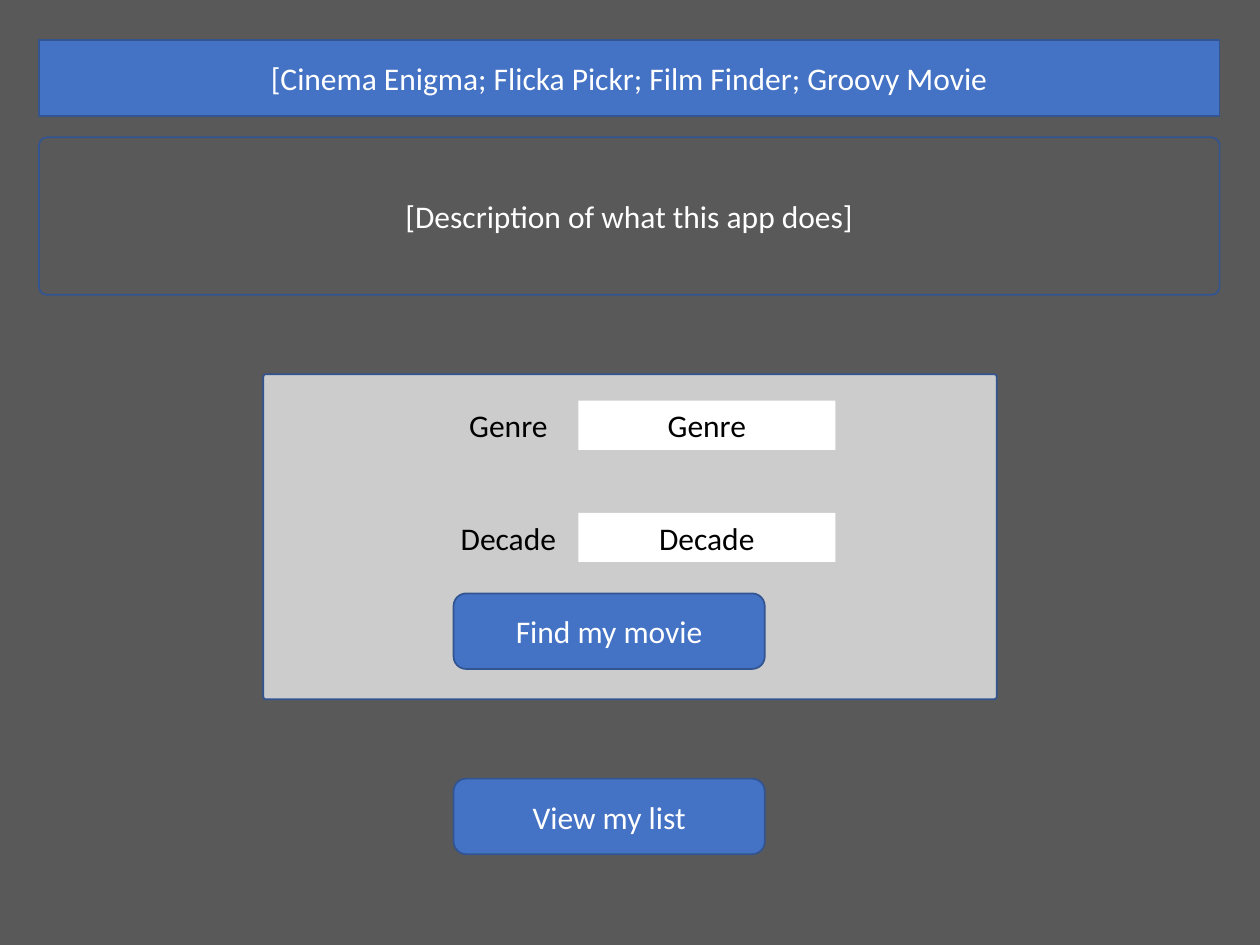
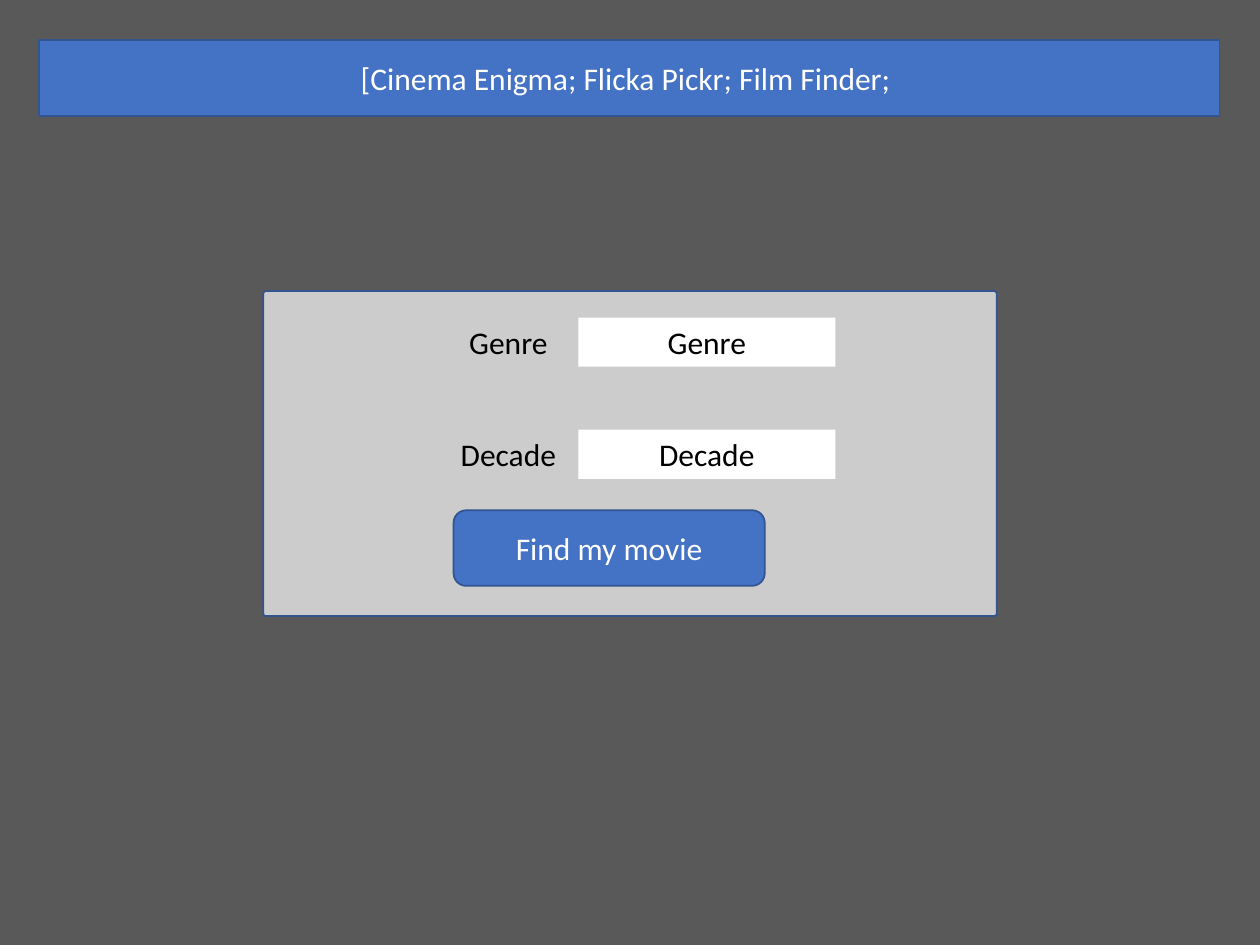
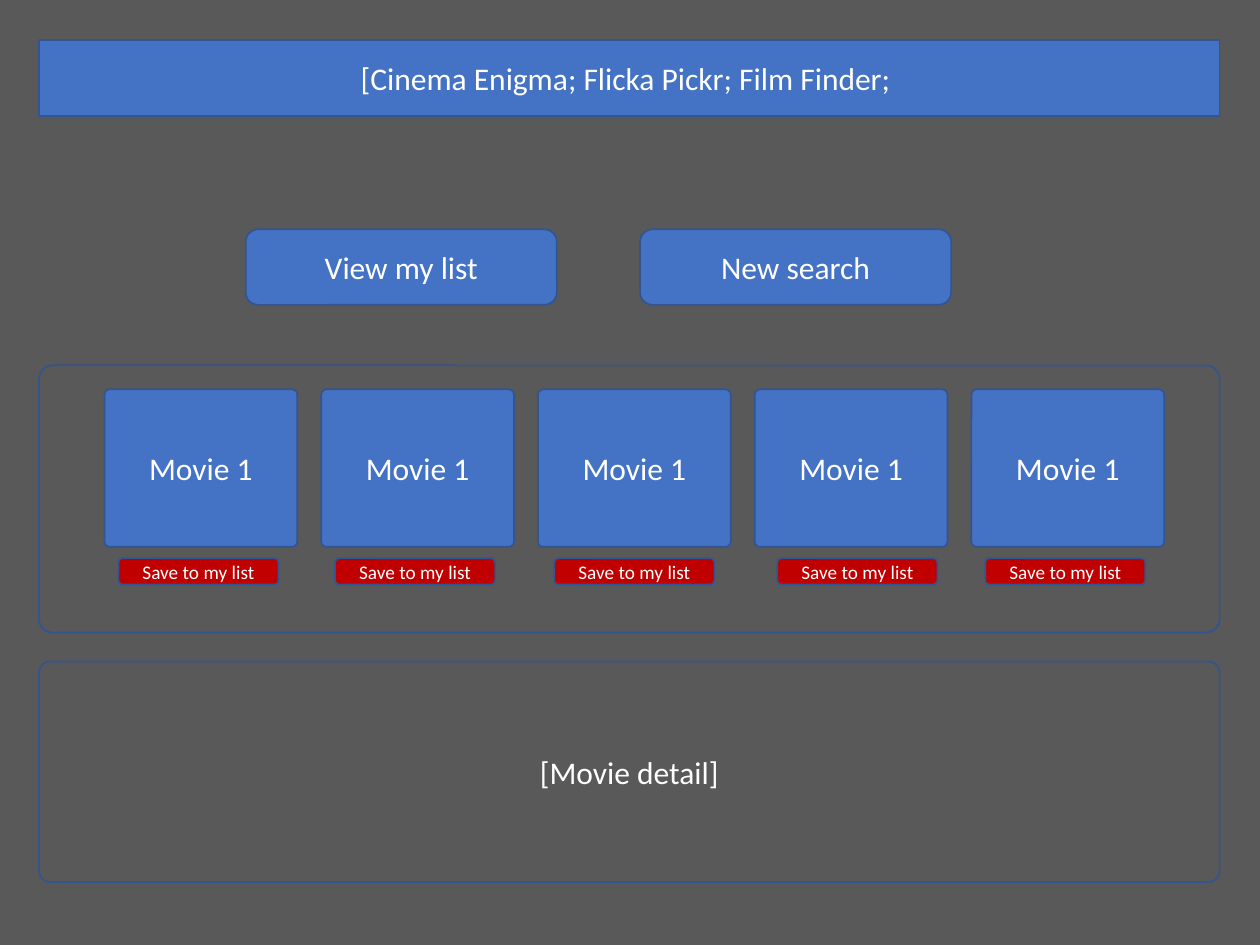
from dataclasses import dataclass

from lxml.etree import SubElement
from pptx import Presentation
from pptx.dml.color import RGBColor
from pptx.enum.shapes import MSO_SHAPE
from pptx.enum.text import MSO_ANCHOR, PP_ALIGN
from pptx.oxml.ns import qn
from pptx.util import Inches, Pt


@dataclass(frozen=True)
class Theme:
    font: str = "Calibri"
    body_size: int = 18
    small_size: int = 11
    line_width: int = 1
    background: str = "595959"
    accent: str = "4472C4"
    outline: str = "325491"
    panel: str = "D9D9D9"
    panel_opacity: int = 90
    save: str = "C00000"
    light: str = "FFFFFF"
    dark: str = "000000"


@dataclass(frozen=True)
class Box:
    left: float
    top: float
    width: float
    height: float

    def inner(self, dx, dy, width, height):
        """Return a box offset from this one's top left corner."""
        return Box(self.left + dx, self.top + dy, width, height)

    def lengths(self):
        return [Inches(v) for v in (self.left, self.top, self.width, self.height)]


THEME = Theme()
TITLE_ONLY = 5
HEADER = Box(0.31, 0.32, 9.37, 0.6)
BUTTON_SIZE = (2.47, 0.6)
FRAME_CORNER = 0.051
APP_NAMES = "[Cinema Enigma; Flicka Pickr; Film Finder; "


def apply(target, formats):
    for attribute, value in formats.items():
        setattr(target, attribute, value)


def write(shape, text, color=THEME.light, size=THEME.body_size):
    frame = shape.text_frame
    frame.text = text
    apply(frame, {"word_wrap": True, "vertical_anchor": MSO_ANCHOR.MIDDLE})
    paragraph = frame.paragraphs[0]
    paragraph.alignment = PP_ALIGN.CENTER
    font = paragraph.runs[0].font
    apply(font, {"name": THEME.font, "size": Pt(size)})
    font.color.rgb = RGBColor.from_string(color)


def paint(shape, fill=None, line=THEME.outline):
    if fill:
        shape.fill.solid()
        shape.fill.fore_color.rgb = RGBColor.from_string(fill)
    else:
        shape.fill.background()
    if line:
        shape.line.color.rgb = RGBColor.from_string(line)
        shape.line.width = Pt(THEME.line_width)
    else:
        shape.line.fill.background()


def add_rounded(slide, box, text="", fill=None, corner=None, size=THEME.body_size):
    shape = slide.shapes.add_shape(MSO_SHAPE.ROUNDED_RECTANGLE, *box.lengths())
    shape.shadow.inherit = False
    if corner is not None:
        shape.adjustments[0] = corner
    paint(shape, fill)
    if text:
        write(shape, text, size=size)
    return shape


def add_button(slide, box, text):
    add_rounded(slide, box, text, THEME.accent)


def add_header(slide, box, text):
    """Turn the title placeholder into the rounded banner."""
    title = slide.shapes.title
    apply(title, dict(zip(("left", "top", "width", "height"), box.lengths())))
    geometry = SubElement(title.element.spPr, qn("a:prstGeom"), prst="roundRect")
    SubElement(geometry, qn("a:avLst"))
    paint(title, THEME.accent)
    write(title, text)


def add_field(slide, box, name):
    """Place a caption and, to its right, the input it names."""
    entry = slide.shapes.add_shape(
        MSO_SHAPE.RECTANGLE, *box.inner(1.13, 0, 2.04, box.height).lengths())
    entry.shadow.inherit = False
    paint(entry, THEME.light, line=None)
    caption = slide.shapes.add_textbox(*box.inner(0, 0, 1.15, box.height).lengths())
    for part in (entry, caption):
        write(part, name, THEME.dark)


def add_search_panel(slide, box):
    panel = add_rounded(slide, box, fill=THEME.panel, corner=0.008)
    color = panel.element.spPr.find(qn("a:solidFill"))[0]
    SubElement(color, qn("a:alpha"), val=str(THEME.panel_opacity * 1000))
    add_button(slide, box.inner(1.51, 1.74, *BUTTON_SIZE), "Find my movie")
    for row, name in enumerate(("Genre", "Decade")):
        add_field(slide, box.inner(1.37, 0.21 + row * 0.89, 3.17, 0.39), name)


def add_movie_strip(slide, box):
    add_rounded(slide, box, corner=FRAME_CORNER)
    save_indents = (0.11, 0.11, 0.13, 0.18, 0.11)
    for column, indent in enumerate(save_indents):
        card = box.inner(0.52 + column * 1.72, 0.19, 1.53, 1.25)
        add_rounded(slide, card, "Movie 1", THEME.accent, corner=0.033)
        add_rounded(slide, card.inner(indent, 1.34, 1.27, 0.21), "Save to my list",
                    THEME.save, size=THEME.small_size)


def add_page(deck, heading):
    slide = deck.slides.add_slide(deck.slide_layouts[TITLE_ONLY])
    background = slide.background.fill
    background.solid()
    background.fore_color.rgb = RGBColor.from_string(THEME.background)
    add_header(slide, HEADER, heading)
    return slide


def build_home(deck):
    slide = add_page(deck, APP_NAMES + "Groovy Movie")
    add_rounded(slide, HEADER.inner(0, 0.77, HEADER.width, 1.25),
                "[Description of what this app does]", corner=FRAME_CORNER)
    add_search_panel(slide, Box(2.09, 2.97, 5.82, 2.58))
    add_button(slide, Box(3.6, 6.18, *BUTTON_SIZE), "View my list")


def build_search(deck):
    slide = add_page(deck, APP_NAMES)
    add_search_panel(slide, Box(2.09, 2.31, 5.82, 2.58))


def build_results(deck):
    slide = add_page(deck, APP_NAMES)
    for column, text in enumerate(("View my list", "New search")):
        add_button(slide, Box(1.95 + column * 3.13, 1.82, *BUTTON_SIZE), text)
    add_movie_strip(slide, HEADER.inner(0, 2.58, HEADER.width, 2.12))
    add_rounded(slide, HEADER.inner(0, 4.93, HEADER.width, 1.75),
                "[Movie detail]", corner=FRAME_CORNER)


def main():
    deck = Presentation()
    apply(deck, {"slide_width": Inches(10), "slide_height": Inches(7.5)})
    for build in (build_home, build_search, build_results):
        build(deck)
    deck.save("out.pptx")


if __name__ == "__main__":
    main()
